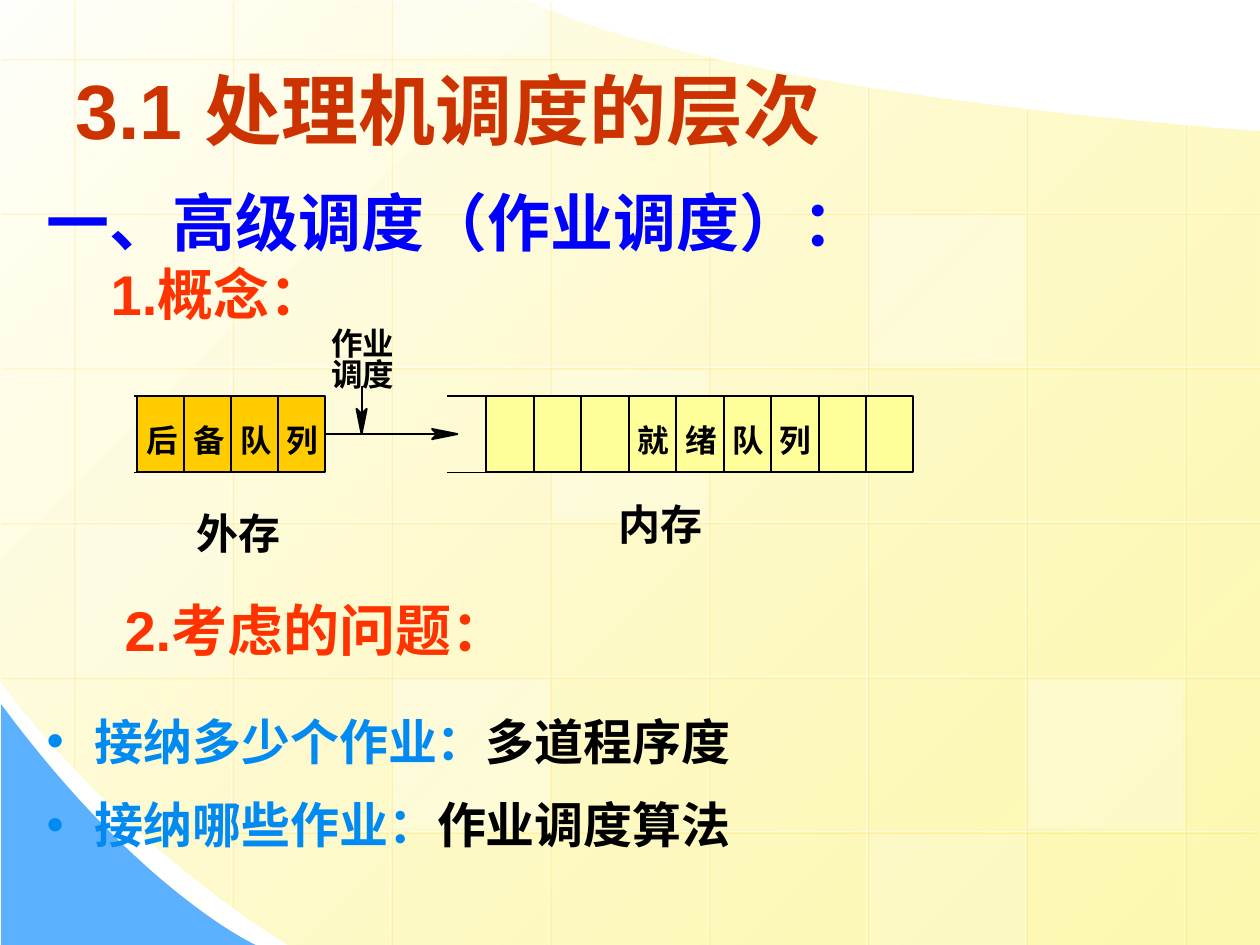
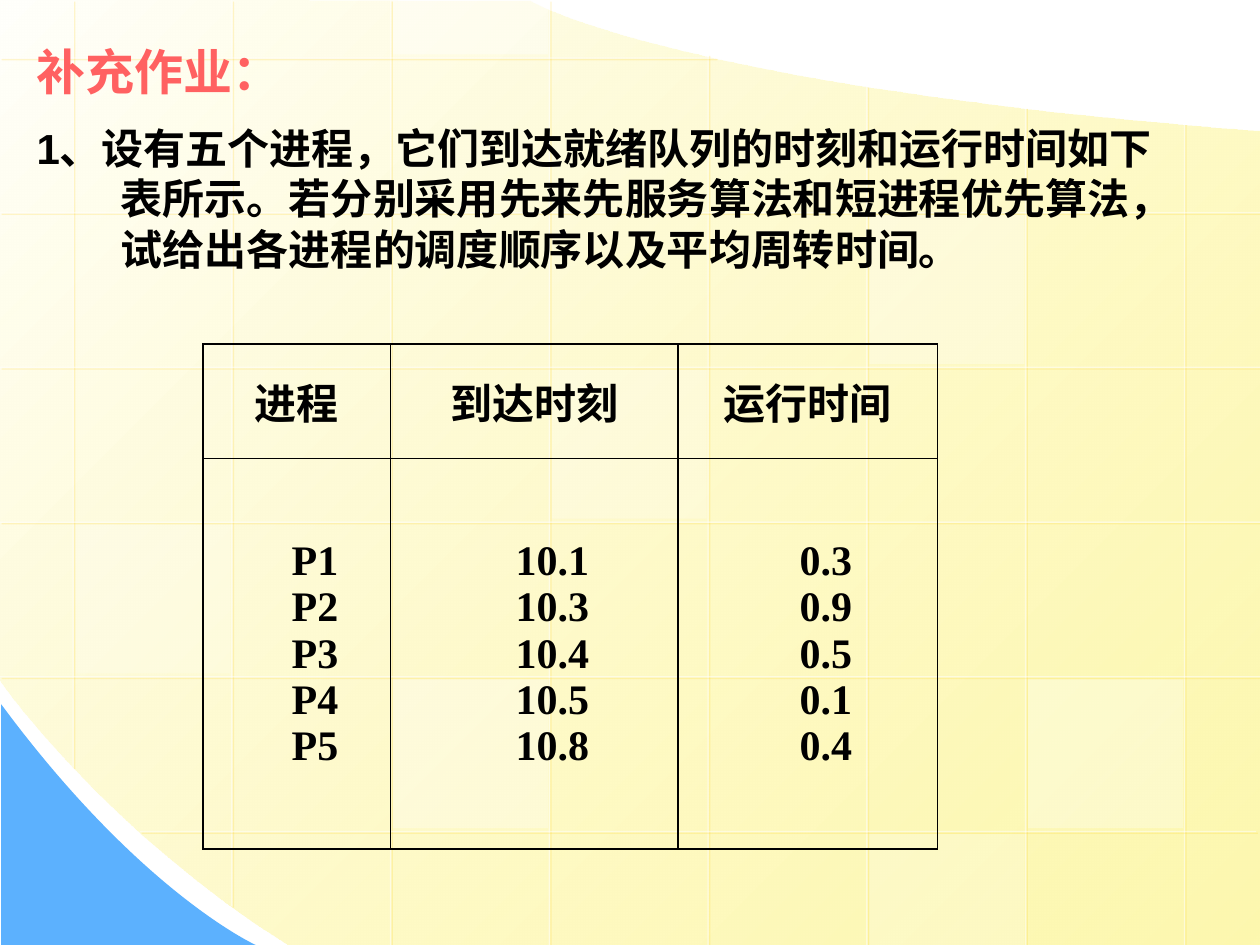
from dataclasses import dataclass

import pptx
import pptx.dml.color
import pptx.enum.shapes
import pptx.enum.text
import pptx.oxml.ns
import pptx.util
from lxml import etree

Inches, Pt = pptx.util.Inches, pptx.util.Pt
qn = pptx.oxml.ns.qn
ANCHOR = pptx.enum.text.MSO_ANCHOR
ALIGN = pptx.enum.text.PP_ALIGN
RECT = pptx.enum.shapes.MSO_SHAPE.RECTANGLE
STRAIGHT = pptx.enum.shapes.MSO_CONNECTOR.STRAIGHT


@dataclass(frozen=True)
class Theme:
    width: float = 10
    height: float = 7.5
    sans: str = "Arial"
    cjk: str = "Noto Sans CJK SC"
    serif: str = "Times New Roman"
    black: str = "000000"
    white: str = "FFFFFF"
    title: str = "CC3300"
    section: str = "0000FF"
    topic: str = "FF3300"
    point: str = "008AF2"
    homework: str = "FF6161"
    waiting: str = "FFCC00"
    ready: str = "FFFF99"
    glow: str = "FFCC00"
    corner: str = "5CB1FE"
    paper: tuple = ("FFFFFB", "FDF58D")
    title_size: int = 44
    section_size: int = 36
    topic_size: int = 32
    list_size: int = 28
    text_size: int = 24
    label_size: int = 18
    rule: float = 1.13


T = Theme()


def rgb(color):
    return pptx.dml.color.RGBColor.from_string(color)


def sub(parent, tag, **attrs):
    return etree.SubElement(parent, qn(tag), {k: str(v) for k, v in attrs.items()})


def set_alpha(element, percent):
    """Make the last colour inside element translucent."""
    sub(list(element.iter(qn("a:srgbClr")))[-1], "a:alpha", val=percent * 1000)


def style(p, size, color, font=T.sans):
    f = p.font
    f.size, f.bold, f.name = Pt(size), True, font
    f.color.rgb = rgb(color)
    sub(p._p.pPr.find(qn("a:defRPr")), "a:ea", typeface=T.cjk)


def set_indent(p, left=0, first=0):
    pPr = p._p.get_or_add_pPr()
    pPr.set("marL", str(Inches(left)))
    pPr.set("indent", str(Inches(first)))
    return pPr


def place(shape, box, anchor):
    """Move a text shape to box and return its text frame."""
    shape.left, shape.top, shape.width, shape.height = map(Inches, box)
    tf = shape.text_frame
    tf.word_wrap = True
    tf.auto_size = pptx.enum.text.MSO_AUTO_SIZE.NONE
    tf.vertical_anchor = anchor
    return tf


def add_title(s, text, box, size, color, anchor):
    p = place(s.shapes.title, box, anchor).paragraphs[0]
    p.text, p.alignment = text, ALIGN.LEFT
    style(p, size, color)


def paint(shape, color, line=None):
    shape.fill.solid()
    shape.fill.fore_color.rgb = rgb(color)
    if line:
        shape.line.color.rgb = rgb(line)
        shape.line.width = Pt(T.rule)
    else:
        shape.line.fill.background()


def add_box(s, box, color, line=None):
    shape = s.shapes.add_shape(RECT, *map(Inches, box))
    shape.shadow.inherit = False
    paint(shape, color, line)
    return shape


def add_line(s, start, end, color=T.black, width=T.rule):
    c = s.shapes.add_connector(STRAIGHT, *map(Inches, start + end))
    c.line.color.rgb = rgb(color)
    c.line.width = Pt(width)
    sub(c.element.spPr, "a:effectLst")
    return c


def add_outline(s, start, *segments):
    """Closed outline; a segment is one point, or three that make a Bezier curve."""
    points = [tuple(map(Inches, pt)) for segment in segments for pt in segment]
    builder = s.shapes.build_freeform(*map(Inches, start))
    builder.add_line_segments(points, close=True)
    shape = builder.convert_to_shape()
    shape.shadow.inherit = False
    steps = iter(list(shape.element.iter(qn("a:lnTo"))))
    for segment in segments:
        parts = [next(steps) for _ in segment]
        if len(parts) == 3:
            parts[0].addprevious(bend := etree.Element(qn("a:cubicBezTo")))
            for part in parts:
                bend.append(part[0])
                part.getparent().remove(part)
    return shape


# Backdrop

def add_paper(s):
    w, h = T.width, T.height
    paper = add_outline(
        s, (w, 1.04), [(w, h)], [(2.3, h)],
        [(0.86, 6.61), (-0.01, 5.39), (0, 5.39)],
        [(-0.01, -0.01)], [(4.21, 0.01)],
        [(4.21, 0.01), (5.37, 0.69), (w, 1.04)])
    paper.line.fill.background()
    paper.fill.gradient()
    paper.fill.gradient_angle = 315
    for stop, color, position in zip(paper.fill.gradient_stops, T.paper, (0, 1)):
        stop.color.rgb = rgb(color)
        stop.position = position
    set_alpha(paper.element.spPr, 70)

    corner = add_outline(s, (0.01, 5.59), [(0.01, h)], [(2.03, h)],
                         [(2.03, h), (1.12, 7.09), (0.01, 5.59)])
    paint(corner, T.corner)


def add_grid_line(s, start, end):
    spPr = add_line(s, start, end, T.white, 0.75).element.spPr
    set_alpha(spPr, 50)
    shadow = sub(spPr.find(qn("a:effectLst")), "a:outerShdw",
                 dist=Pt(1.4), dir=45 * 60000, algn="ctr", rotWithShape=0)
    sub(shadow, "a:srgbClr", val=T.glow)
    set_alpha(shadow, 34)


def add_grid(s):
    x0, y0 = 0.58, 0.46
    columns = [(0, 6.09), (0, 7.19), (0, 7.5), (0, 7.5),
               (0.43, 7.5), (0.68, 7.5), (0.85, 7.5), (0.98, 7.5)]
    rows = [(0, 5.68)] + [(0, T.width)] * 4 + [(1.11, 9.97)]
    dx, dy = (9.4 - x0) / (len(columns) - 1), (6.6 - y0) / (len(rows) - 1)
    for i, (top, bottom) in enumerate(columns):
        add_grid_line(s, (x0 + i * dx, top), (x0 + i * dx, bottom))
    for i, (left, right) in enumerate(rows):
        add_grid_line(s, (right, y0 + i * dy), (left, y0 + i * dy))

    tiles = [(3, 2, 25), (6, 4, 30), (0, 3, 20), (5, 5, 20),
             (2, -1, 40), (2, 4, 30), (5, 1, 30)]
    for col, row, opacity in tiles:
        y = y0 + row * dy + 0.02
        top, bottom = max(0, y), min(T.height, y + 1.18)
        tile = add_box(s, (x0 + col * dx + 0.02, top, 1.23, bottom - top), T.white)
        set_alpha(tile.element.spPr, opacity)


def add_backdrop(prs, s):
    """Draw the backdrop on s, then move it behind everything on the master."""
    add_paper(s)
    add_grid(s)
    tree = prs.slide_master.shapes.element
    drawn = [shape.element for shape in s.shapes if not shape.is_placeholder]
    for i, element in enumerate(drawn):
        next(element.iter(qn("p:cNvPr"))).set("id", str(100 + i))
        tree.insert(2 + i, element)


# Scheduling slide

def add_headings(s, box):
    tf = place(s.shapes.add_textbox(0, 0, 0, 0), box, ANCHOR.MIDDLE)
    headings = [("一、高级调度（作业调度）：", T.section_size, T.section, 0, 0),
                ("1.概念：", T.topic_size, T.topic, 0.51, 0),
                ("2.考虑的问题：", T.topic_size, T.topic, 0.62, 153.5)]
    for i, (text, size, color, left, before) in enumerate(headings):
        p = tf.add_paragraph() if i else tf.paragraphs[0]
        p.text, p.space_before = text, Pt(before)
        set_indent(p, left)
        style(p, size, color)


def add_questions(s, box):
    tf = place(s.placeholders[1], box, ANCHOR.TOP)
    questions = [("接纳多少个作业：", "多道程序度"), ("接纳哪些作业：", "作业调度算法")]
    for i, (question, answer) in enumerate(questions):
        p = tf.add_paragraph() if i else tf.paragraphs[0]
        p.line_spacing, p.space_before = 1.25, Pt(5.6 * i)
        pPr = set_indent(p, 0.38, -0.38)
        sub(sub(pPr, "a:buClr"), "a:srgbClr", val=T.point)
        sub(pPr, "a:buFont", typeface=T.sans)
        sub(pPr, "a:buChar", char="•")
        style(p, T.list_size, T.point, T.cjk)
        p.add_run().text = question
        r = p.add_run()
        r.text = answer
        r.font.color.rgb = rgb(T.black)


def add_label(s, text, x, y, size, fill=None):
    box = (x, y, len(text) * size / 72, 1.2 * size / 72)
    shape = s.shapes.add_textbox(0, 0, 0, 0)
    if fill:
        paint(shape, fill)
    tf = place(shape, box, ANCHOR.TOP)
    tf.margin_left = tf.margin_right = tf.margin_top = tf.margin_bottom = 0
    tf.word_wrap = False
    p = tf.paragraphs[0]
    p.text = text
    style(p, size, T.black, T.cjk)


def add_queue(s, box, color, count, name, first, rail):
    """Row of cells, name written from cell first on, rails around its open end."""
    x, y, w, h = box
    step = w / count
    for edge in (y, y + h):
        add_line(s, (rail[0], edge), (rail[1], edge))
    cells = [add_box(s, (x + i * step, y, step, h), color, T.black)
             for i in range(count)]
    for i, char in enumerate(name, first):
        add_label(s, char, x + i * step + 0.07, y + 0.2, T.label_size, color)
    return cells


def add_arrowhead(s, tip, turned=False):
    """Notched head that points right, or down when turned."""
    corners = [(-0.2, -0.04), (-0.16, 0), (-0.2, 0.04), (0, 0)]
    start, *rest = [(tip[0] + (b if turned else a), tip[1] + (a if turned else b))
                    for a, b in corners]
    paint(add_outline(s, start, *([pt] for pt in rest)), T.black, T.black)


def add_queue_diagram(s, x, y):
    """Place both queues with the top left of the waiting queue at x, y."""
    h = 0.61
    middle = y + h / 2
    waiting = add_queue(s, (x, y, 1.49, h), T.waiting, 4, "后备队列", 0,
                        (x - 0.03, x + 0.36))
    add_queue(s, (x + 2.77, y, 3.39, h), T.ready, 9, "就绪队列", 3,
              (x + 2.46, x + 2.77))
    admit = add_line(s, (x + 1.49, middle), (x + 2.38, middle))
    admit.begin_connect(waiting[-1], 3)
    add_arrowhead(s, (x + 2.54, middle))
    add_line(s, (x + 1.78, y - 0.08), (x + 1.78, middle))
    add_arrowhead(s, (x + 1.78, middle), turned=True)
    for text, dx, dy, size in [("作业", 1.54, -0.57, T.label_size),
                               ("调度", 1.54, -0.32, T.label_size),
                               ("外存", 0.47, 0.89, T.text_size),
                               ("内存", 3.82, 0.82, T.text_size)]:
        add_label(s, text, x + dx, y + dy, size)


def build_scheduling(s):
    add_title(s, "3.1 处理机调度的层次", (0.5, 0.36, 9, 1.01),
              T.title_size, T.title, ANCHOR.MIDDLE)
    add_headings(s, (0.27, 1.31, 9.06, 4.1))
    add_questions(s, (0.27, 5.48, 7.09, 1.81))
    add_queue_diagram(s, 1.09, 3.14)


# Homework slide

def add_problem(s, box):
    p = place(s.placeholders[1], box, ANCHOR.TOP).paragraphs[0]
    p.text = ("1、设有五个进程，它们到达就绪队列的时刻和运行时间如下表所示。"
              "若分别采用先来先服务算法和短进程优先算法，"
              "试给出各进程的调度顺序以及平均周转时间。")
    p.space_before = Pt(0)
    sub(set_indent(p, 0.67, -0.67), "a:buNone")
    style(p, T.text_size, T.black)


def add_borders(cell):
    tcPr = cell._tc.get_or_add_tcPr()
    for i, side in enumerate(("a:lnL", "a:lnR", "a:lnT", "a:lnB")):
        ln = sub(tcPr, side, w=Pt(1))
        sub(sub(ln, "a:solidFill"), "a:srgbClr", val=T.black)
        tcPr.insert(i, ln)


def add_process_table(s, box):
    columns = [(1.49, "进程", ["P1", "P2", "P3", "P4", "P5"]),
               (2.28, "到达时刻", ["10.1", "10.3", "10.4", "10.5", "10.8"]),
               (2.06, "运行时间", ["0.3", "0.9", "0.5", "0.1", "0.4"])]
    table = s.shapes.add_table(2, len(columns), *map(Inches, box)).table
    table.first_row = table.horz_banding = False
    for row, height in zip(table.rows, (0.91, 3.1)):
        row.height = Inches(height)
    for c, (width, heading, values) in enumerate(columns):
        table.columns[c].width = Inches(width)
        for r, (lines, indent) in enumerate([([heading], 0), (values, 0.29)]):
            cell = table.cell(r, c)
            cell.text = "\n".join(lines)
            cell.vertical_anchor = ANCHOR.MIDDLE
            cell.fill.background()
            add_borders(cell)
            for p in cell.text_frame.paragraphs:
                p.alignment = ALIGN.CENTER
                set_indent(p, 0, indent)
                style(p, T.text_size, T.black, T.serif)


def build_homework(s):
    add_title(s, "补充作业：", (0.19, 0.28, 9.2, 0.56),
              T.list_size, T.homework, ANCHOR.TOP)
    add_problem(s, (0.19, 0.92, 9.2, 1.32))
    add_process_table(s, (1.61, 2.73, 5.83, 4.02))


def main():
    prs = pptx.Presentation()
    prs.slide_width, prs.slide_height = Inches(T.width), Inches(T.height)
    layout = prs.slide_layouts.get_by_name("Title and Content")
    scheduling, homework = (prs.slides.add_slide(layout) for _ in range(2))
    add_backdrop(prs, scheduling)
    build_scheduling(scheduling)
    build_homework(homework)
    prs.save("out.pptx")


if __name__ == "__main__":
    main()
